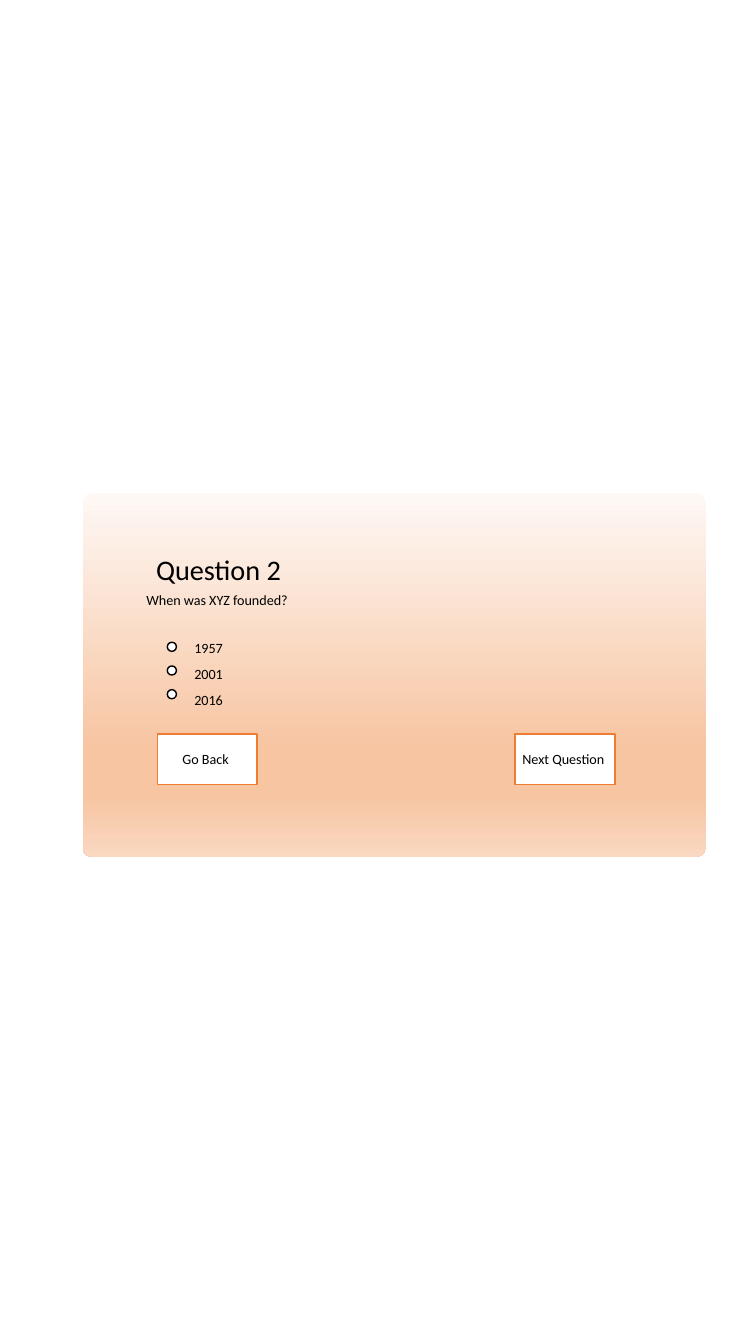
from copy import deepcopy

from pptx import Presentation
from pptx import util as u
from pptx.dml.color import RGBColor
from pptx.enum import shapes, text

BLACK = RGBColor(0x00, 0x00, 0x00)
WHITE = RGBColor(0xFF, 0xFF, 0xFF)
ORANGE = RGBColor(0xED, 0x7D, 0x31)
PANEL_STOPS = [
    (0, RGBColor(0xFE, 0xF8, 0xF5)),
    (0.7, RGBColor(0xF7, 0xC5, 0xA2)),
    (0.83, RGBColor(0xF7, 0xC5, 0xA2)),
    (1, RGBColor(0xFA, 0xD8, 0xC1)),
]
FONT = "Calibri"
BODY_SIZE = 10.1
TITLE_SIZE = 20.2


def set_all(obj, values):
    """Set every attribute in values on obj."""
    for name, value in values.items():
        setattr(obj, name, value)


def write(tf, words, size=BODY_SIZE, align=text.PP_ALIGN.LEFT):
    """Write one formatted line into a text frame."""
    p = tf.paragraphs[0]
    p.alignment = align
    r = p.add_run()
    r.text = words
    set_all(r.font, {"name": FONT, "size": u.Pt(size)})
    r.font.color.rgb = BLACK


def add_label(parent, box, words, **style):
    """Add a wrapped text box that grows with its text."""
    sp = parent.add_textbox(*map(u.Inches, box))
    set_all(sp.text_frame, {
        "word_wrap": True,
        "auto_size": text.MSO_AUTO_SIZE.SHAPE_TO_FIT_TEXT,
    })
    write(sp.text_frame, words, **style)


def add_outlined(parent, kind, box, line):
    """Add a white shape with a one-point outline."""
    sp = parent.add_shape(kind, *map(u.Inches, box))
    sp.shadow.inherit = False
    sp.fill.solid()
    sp.fill.fore_color.rgb = WHITE
    sp.line.color.rgb = line
    sp.line.width = u.Pt(1)
    return sp


def add_panel(parent, box, stops):
    """Add the rounded panel with a vertical gradient."""
    kind = shapes.MSO_SHAPE.ROUNDED_RECTANGLE
    sp = parent.add_shape(kind, *map(u.Inches, box))
    sp.shadow.inherit = False
    sp.adjustments[0] = 0.027
    sp.line.fill.background()
    sp.fill.gradient()
    sp.fill.gradient_angle = 270
    stop_list = sp._element.spPr.gradFill.gsLst
    while len(stop_list) < len(stops):
        stop_list.append(deepcopy(stop_list[0]))
    for stop, (position, color) in zip(sp.fill.gradient_stops, stops):
        stop.color.rgb = color
        stop.position = position


def add_options(parent, answers):
    """Add a group of answers with their radio circles."""
    group = parent.add_group_shape().shapes
    for i, answer in enumerate(answers):
        add_label(group, (1.83, 6.29 + 0.26 * i, 0.84, 0.27), answer)
        add_outlined(group, shapes.MSO_SHAPE.OVAL,
                     (1.66, 6.37 + 0.235 * i, 0.09, 0.09), BLACK)


def add_button(parent, left, words):
    """Add a navigation button with centred text."""
    sp = add_outlined(parent, shapes.MSO_SHAPE.RECTANGLE,
                      (left, 7.28, 0.99, 0.5), ORANGE)
    set_all(sp.text_frame, {
        "word_wrap": True,
        "vertical_anchor": text.MSO_ANCHOR.MIDDLE,
        "margin_left": u.Inches(0.06),
        "margin_right": u.Inches(0.06),
        "margin_top": u.Inches(0.03),
        "margin_bottom": u.Inches(0.03),
    })
    write(sp.text_frame, words, align=text.PP_ALIGN.CENTER)


def main():
    """Build the quiz question slide."""
    prs = Presentation()
    set_all(prs, {"slide_width": u.Inches(7.5),
                  "slide_height": u.Inches(13.33)})
    s = prs.slides.add_slide(prs.slide_layouts[6])
    add_panel(s.shapes, (0.82, 4.89, 6.18, 3.61), PANEL_STOPS)
    add_label(s.shapes, (1.45, 5.43, 1.69, 0.44), "Question 2",
              size=TITLE_SIZE)
    add_label(s.shapes, (1.32, 5.82, 1.7, 0.27), "When was XYZ founded? ",
              align=text.PP_ALIGN.CENTER)
    add_options(s.shapes, ["1957", "2001", "2016"])
    add_button(s.shapes, 5.11, "Next Question ")
    add_button(s.shapes, 1.56, "Go Back ")
    prs.save("out.pptx")


main()
